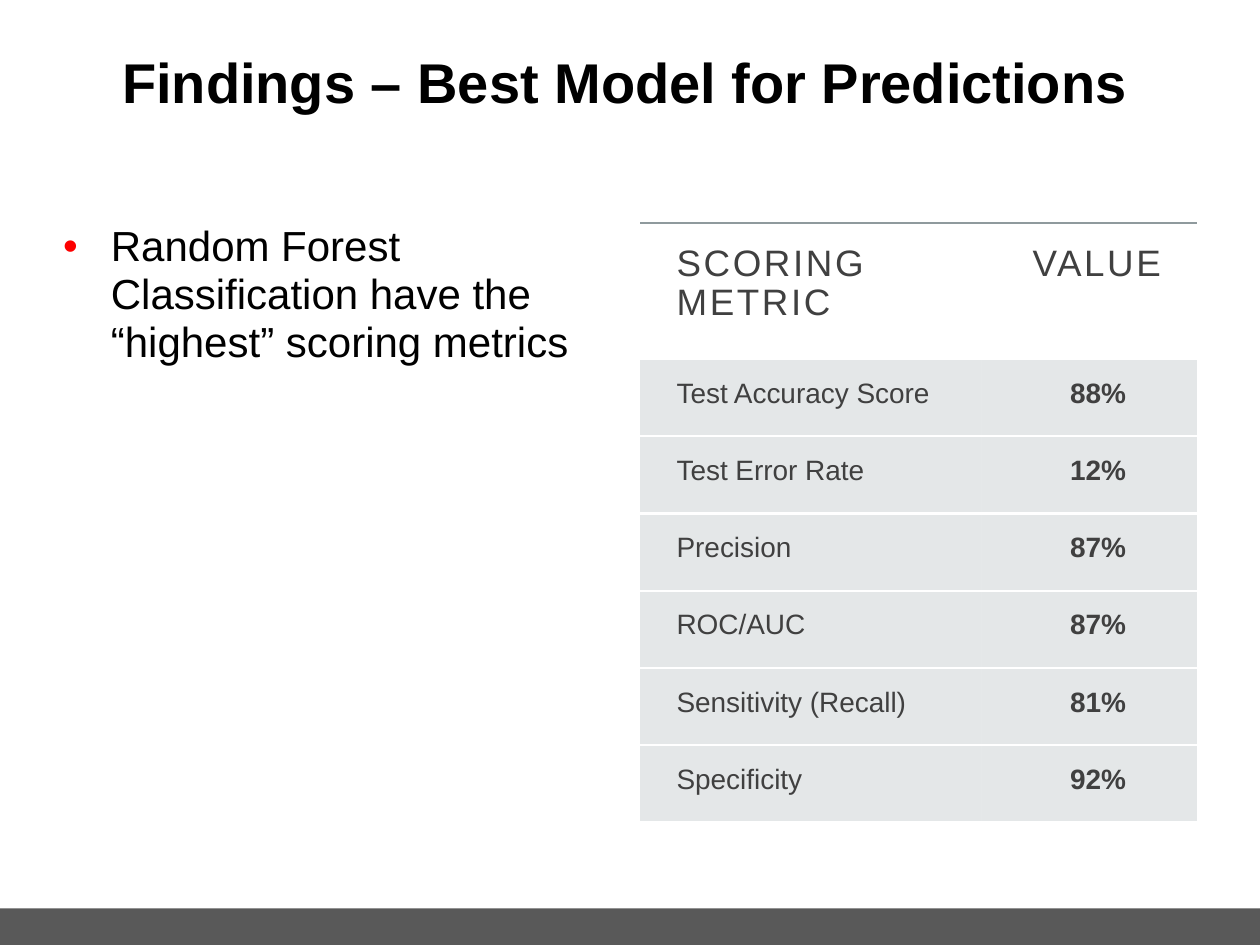
from lxml.etree import SubElement, fromstring
from pptx import Presentation
from pptx.dml.color import RGBColor
from pptx.enum.shapes import MSO_SHAPE as Shape
from pptx.enum.text import MSO_ANCHOR as Anchor, MSO_AUTO_SIZE as AutoSize, PP_ALIGN as Align
from pptx.oxml.ns import nsdecls, qn
from pptx.util import Inches, Pt

COLORS = {
    "text": "000000", "cell": "404040", "bullet": "FD0000", "bar": "595959",
    "row": "B4BCBE", "rule": "8F9A9D", "gap": "FFFFFF",
}
NO_GRID_STYLE = "{2D5ABB26-0587-4C30-8999-92F81FD0307C}"
WIDTH, HEIGHT = 10, 7.5
MARGIN, COLUMN, GUTTER, CONTENT_TOP = 0.5, 4.42, 0.16, 1.77
METRICS = [
    ("Test Accuracy Score", "88%"),
    ("Test Error Rate", "12%"),
    ("Precision", "87%"),
    ("ROC/AUC", "87%"),
    ("Sensitivity (Recall)", "81%"),
    ("Specificity", "92%"),
]


def column_left(index):
    return MARGIN + index * (COLUMN + GUTTER)


class SlideBuilder:
    """Holds the font and the current slide."""

    font = "Arial"

    def __init__(self, slide):
        self.slide = slide

    def style(self, paragraph, size, color, bold=False, spacing=1.0, align=Align.LEFT):
        paragraph.alignment = align
        paragraph.line_spacing = spacing
        paragraph.space_before = Pt(0)
        for run in paragraph.runs:
            run.font.name = self.font
            run.font.size = Pt(size)
            run.font.bold = bold
            run.font.color.rgb = RGBColor.from_string(COLORS[color])

    def fill_placeholder(self, holder, text, box, top_inset=0.0):
        holder.left, holder.top, holder.width, holder.height = map(Inches, box)
        frame = holder.text_frame
        frame.text = text
        frame.auto_size = AutoSize.NONE
        frame.word_wrap = True
        frame.vertical_anchor = Anchor.TOP
        frame.margin_left = frame.margin_right = frame.margin_bottom = 0
        frame.margin_top = Inches(top_inset)
        return frame.paragraphs[0]

    def title(self, text, box):
        heading = self.fill_placeholder(self.slide.shapes.title, text, box, 0.05)
        self.style(heading, 32, "text", bold=True)

    def bullet(self, text, box):
        point = self.fill_placeholder(self.slide.placeholders[1], text, box)
        self.style(point, 24, "text", spacing=0.95)
        properties = point._p.get_or_add_pPr()
        indent = Inches(0.38)
        properties.set("marL", str(indent))
        properties.set("indent", str(-indent))
        bullet_color = SubElement(properties, qn("a:buClr"))
        SubElement(bullet_color, qn("a:srgbClr")).set("val", COLORS["bullet"])
        SubElement(properties, qn("a:buFont")).set("typeface", self.font)
        SubElement(properties, qn("a:buChar")).set("char", "•")

    def bar(self, box, color):
        band = self.slide.shapes.add_shape(Shape.RECTANGLE, *map(Inches, box))
        band.shadow.inherit = False
        band.fill.solid()
        band.fill.fore_color.rgb = RGBColor.from_string(COLORS[color])
        band.line.fill.background()

    def borders(self, cell, top, bottom):
        properties = cell._tc.get_or_add_tcPr()
        for position, (edge, color) in enumerate((("lnT", top), ("lnB", bottom))):
            properties.insert(position, fromstring(
                f'<a:{edge} {nsdecls("a")} w="{Pt(1.5)}"><a:solidFill>'
                f'<a:srgbClr val="{COLORS[color]}"/></a:solidFill></a:{edge}>'))

    def cell(self, cell, text, inset, align, **text_style):
        cell.text = text
        cell.margin_left = Inches(0.29)
        cell.margin_top = cell.margin_right = cell.margin_bottom = Inches(inset)
        cell.vertical_anchor = Anchor.TOP
        self.style(cell.text_frame.paragraphs[0], color="cell", align=align, **text_style)

    def header_cell(self, cell, text, align):
        self.cell(cell, text, 0.17, align, size=21, spacing=0.97)
        for run in cell.text_frame.paragraphs[0].runs:
            run.font._element.set("spc", "150")
        cell.fill.background()
        self.borders(cell, "rule", "gap")

    def metric_cell(self, cell, text, align, bold):
        self.cell(cell, text, 0.15, align, size=16, bold=bold)
        cell.fill.solid()
        cell.fill.fore_color.rgb = RGBColor.from_string(COLORS["row"])
        tint = cell._tc.tcPr.find(".//" + qn("a:srgbClr"))
        SubElement(tint, qn("a:alpha")).set("val", "35000")
        self.borders(cell, "gap", "gap")

    def score_table(self, header, metrics, box, widths, heights):
        table = self.slide.shapes.add_table(
            len(metrics) + 1, len(header), *map(Inches, box)).table
        table.first_row = table.horz_banding = False
        table._tbl.tblPr.find(qn("a:tableStyleId")).text = NO_GRID_STYLE
        for column, width in zip(table.columns, widths):
            column.width = Inches(width)
        for row, height in zip(table.rows, heights):
            row.height = Inches(height)
        for column, align in enumerate((Align.LEFT, Align.CENTER)):
            self.header_cell(table.cell(0, column), header[column], align)
            for row, metric in enumerate(metrics, start=1):
                self.metric_cell(table.cell(row, column), metric[column], align, column == 1)


def main():
    deck = Presentation()
    deck.slide_width, deck.slide_height = Inches(WIDTH), Inches(HEIGHT)
    builder = SlideBuilder(deck.slides.add_slide(deck.slide_layouts[1]))

    bar_height = 0.29
    builder.bar((0, HEIGHT - bar_height, WIDTH, bar_height), "bar")
    builder.title("Findings – Best Model for Predictions", (0.97, 0.33, 8.29, 1.03))
    builder.bullet("Random Forest Classification have the “highest” scoring metrics",
                   (column_left(0), CONTENT_TOP, COLUMN, 4.93))

    heights = [1.08] + [0.613] * len(METRICS)
    builder.score_table(("SCORING METRIC", "VALUE"), METRICS,
                        (column_left(1), CONTENT_TOP, COLUMN, sum(heights)),
                        (2.71, 1.71), heights)
    deck.save("out.pptx")


if __name__ == "__main__":
    main()
